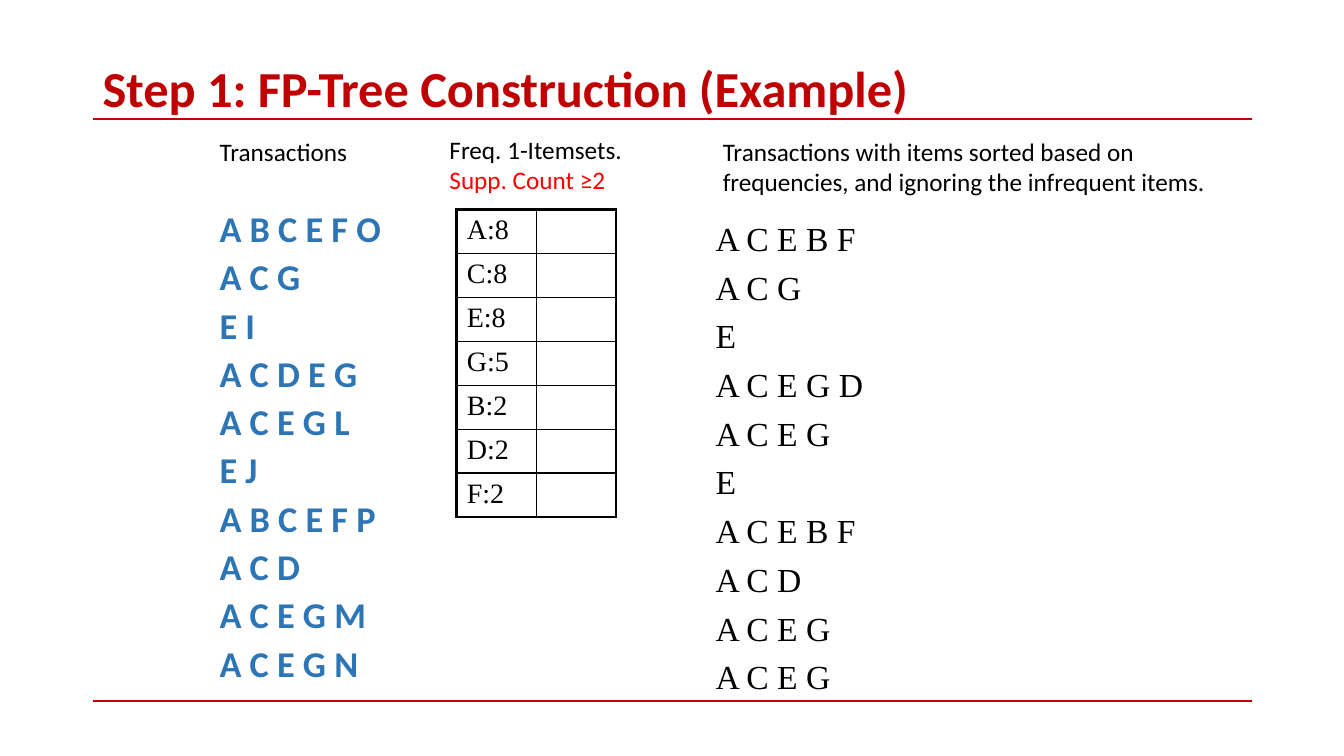
import pptx
import pptx.util
import pptx.dml.color
import pptx.enum.shapes
import pptx.enum.text
import pptx.oxml
from pptx.oxml.ns import qn

RED = pptx.dml.color.RGBColor(0xC0, 0x00, 0x00)
BRIGHT_RED = pptx.dml.color.RGBColor(0xFF, 0x00, 0x00)
BLUE = pptx.dml.color.RGBColor(0x2E, 0x75, 0xB6)
BLACK = pptx.dml.color.RGBColor(0x00, 0x00, 0x00)
EMU_PER_PX = 9144


def px(n):
    return pptx.util.Emu(n * EMU_PER_PX)


def add_text(box, lines, size, colors, font="Calibri", bold=False, wrap=True,
             before=0, spacing=None, hang=0):
    tf = s.shapes.add_textbox(*map(px, box)).text_frame
    tf.word_wrap = wrap
    for i, line in enumerate(lines):
        p = tf.paragraphs[0] if i == 0 else tf.add_paragraph()
        p.text = line
        if hang:
            pPr = p._p.get_or_add_pPr()
            pPr.set("marL", str(px(hang)))
            pPr.set("indent", str(px(-hang)))
        if i and before:
            p.space_before = pptx.util.Pt(before)
        if spacing:
            p.line_spacing = spacing
        p.font.name = font
        p.font.size = pptx.util.Pt(size)
        p.font.bold = bold
        p.font.color.rgb = colors[min(i, len(colors) - 1)]
    return tf


prs = pptx.Presentation()
prs.slide_width = px(1333)
prs.slide_height = px(750)
s = prs.slides.add_slide(prs.slide_layouts[6])

for y in (118, 695):
    rule = s.shapes.add_connector(pptx.enum.shapes.MSO_CONNECTOR.STRAIGHT,
                                  px(92), px(y), px(1242), px(y))
    rule.line.color.rgb = RED
    rule.line.width = pptx.util.Pt(1.5)
    rule._element.spPr.append(pptx.oxml.parse_xml(
        '<a:effectLst xmlns:a="http://schemas.openxmlformats.org/drawingml/2006/main"/>'))

title = add_text((92, 61, 1150, 58), ["Step 1: FP-Tree Construction (Example)"],
                 36, [RED], bold=True, spacing=0.9)
title.vertical_anchor = pptx.enum.text.MSO_ANCHOR.MIDDLE

transactions = ["A B C E F O", "A C G", "E I", "A C D E G", "A C E G L",
                "E J", "A B C E F P", "A C D", "A C E G M", "A C E G N"]
add_text((208, 208, 217, 508), transactions, 25.9, [BLUE], bold=True,
         before=9.6, spacing=0.8, hang=25)

sorted_items = ["A C E B F", "A C G", "E", "A C E G D", "A C E G",
                "E", "A C E B F", "A C D", "A C E G", "A C E G"]
tf = add_text((700, 208, 217, 508), sorted_items, 24, [BLACK],
              font="Times New Roman", before=6, hang=38)
tf.margin_top = px(8)

add_text((436, 128, 193, 71), ["Freq. 1-Itemsets.", "Supp. Count ≥2"], 18,
         [BLACK, BRIGHT_RED], wrap=False)
add_text((208, 130, 148, 40), ["Transactions"], 18, [BLACK], wrap=False)
add_text((707, 130, 511, 71),
         ["Transactions with items sorted based on frequencies, "
          "and ignoring the infrequent items."], 18, [BLACK])

counts = ["A:8", "C:8", "E:8", "G:5", "B:2", "D:2", "F:2"]
last = len(counts) - 1
table = s.shapes.add_table(len(counts), 2, px(453), px(208), px(158), px(305)).table
table.first_row = False
table.horz_banding = False
for row, count in enumerate(counts):
    for col in range(2):
        cell = table.cell(row, col)
        tcPr = cell._tc.get_or_add_tcPr()
        outer = {"a:lnL": col == 0, "a:lnR": col == 1,
                 "a:lnT": row == 0, "a:lnB": row == last}
        for tag, thick in outer.items():
            ln = tcPr.makeelement(qn(tag), {"w": str(pptx.util.Pt(2.25 if thick else 1))})
            tcPr.append(ln)
            fill = ln.makeelement(qn("a:solidFill"), {})
            ln.append(fill)
            fill.append(fill.makeelement(qn("a:srgbClr"), {"val": str(BLACK)}))
        cell.fill.background()
    p = table.cell(row, 0).text_frame.paragraphs[0]
    p.text = count
    p.font.name = "Times New Roman"
    p.font.size = pptx.util.Pt(20)
    p.font.color.rgb = BLACK

prs.save("out.pptx")
